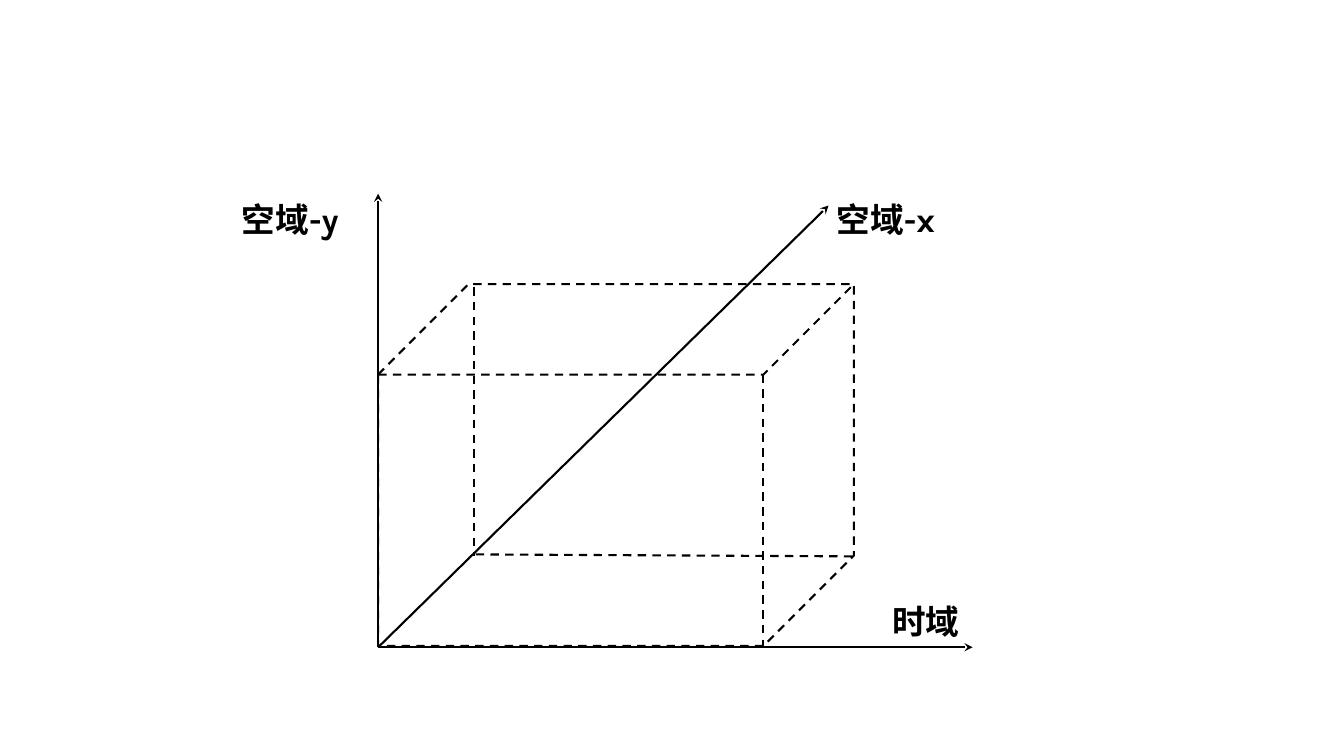
from pptx import Presentation
from pptx.dml.color import RGBColor
from pptx.enum.dml import MSO_LINE
from pptx.enum.shapes import MSO_CONNECTOR, MSO_SHAPE
from pptx.enum.text import MSO_AUTO_SIZE, PP_ALIGN
from pptx.oxml.ns import qn
from pptx.util import Cm, Pt
from lxml.etree import SubElement

BLACK = RGBColor(0x00, 0x00, 0x00)
CJK_FONT, LATIN_FONT = "Noto Sans CJK SC", "Karla"
ORIGIN = (9.53, 16.31)
AXIS_ENDS = [(24.51, 16.31), (9.53, 4.88), (20.88, 5.18)]
HIDDEN_EDGES = [((11.94, 7.24), (11.94, 14.02)),
                ((11.99, 13.97), (21.54, 14.02))]
LABELS = [((21.69, 15.01, 3.28), [("时域", CJK_FONT)]),
          ((5.13, 4.88, 4.37), [("空域", CJK_FONT), ("-y", LATIN_FONT)]),
          ((20.14, 4.88, 4.37), [("空域", CJK_FONT), ("-x", LATIN_FONT)])]
LABEL_HEIGHT = 1.27


def set_attrs(obj, **values):
    for name, value in values.items():
        setattr(obj, name, value)


def style_line(line, dashed):
    line.color.rgb = BLACK
    set_attrs(line, width=Pt(1.5),
              dash_style=MSO_LINE.DASH if dashed else None)


def add_cube(slide, left, top, width, height):
    sp = slide.shapes.add_shape(MSO_SHAPE.CUBE, Cm(left), Cm(top),
                                Cm(width), Cm(height))
    sp.shadow.inherit = False
    sp.fill.background()
    style_line(sp.line, dashed=True)


def add_line(slide, start, end, dashed=False, arrow=False):
    cxn = slide.shapes.add_connector(MSO_CONNECTOR.STRAIGHT,
                                     *map(Cm, start + end))
    style_line(cxn.line, dashed)
    sp_pr = cxn._element.spPr
    if arrow:
        SubElement(sp_pr.find(qn("a:ln")), qn("a:tailEnd"), type="stealth")
    SubElement(sp_pr, qn("a:effectLst"))


def add_label(slide, place, parts):
    """Add a centred label whose parts are (text, font) pairs."""
    tf = slide.shapes.add_textbox(*map(Cm, place), Cm(LABEL_HEIGHT)).text_frame
    set_attrs(tf, word_wrap=True, auto_size=MSO_AUTO_SIZE.SHAPE_TO_FIT_TEXT)
    p = tf.paragraphs[0]
    p.alignment = PP_ALIGN.CENTER
    for text, font in parts:
        r = p.add_run()
        r.text = text
        set_attrs(r.font, name=font, size=Pt(24), bold=True)
        r.font.color.rgb = BLACK
        SubElement(r.font._element, qn("a:ea"), typeface=CJK_FONT)


def main():
    prs = Presentation()
    set_attrs(prs, slide_width=Cm(33.87), slide_height=Cm(19.05))
    slide = prs.slides.add_slide(prs.slide_layouts[6])
    add_cube(slide, 9.53, 7.16, 11.99, 9.12)
    for end in AXIS_ENDS:
        add_line(slide, ORIGIN, end, arrow=True)
    for start, end in HIDDEN_EDGES:
        add_line(slide, start, end, dashed=True)
    for place, parts in LABELS:
        add_label(slide, place, parts)
    prs.save("out.pptx")


if __name__ == "__main__":
    main()
